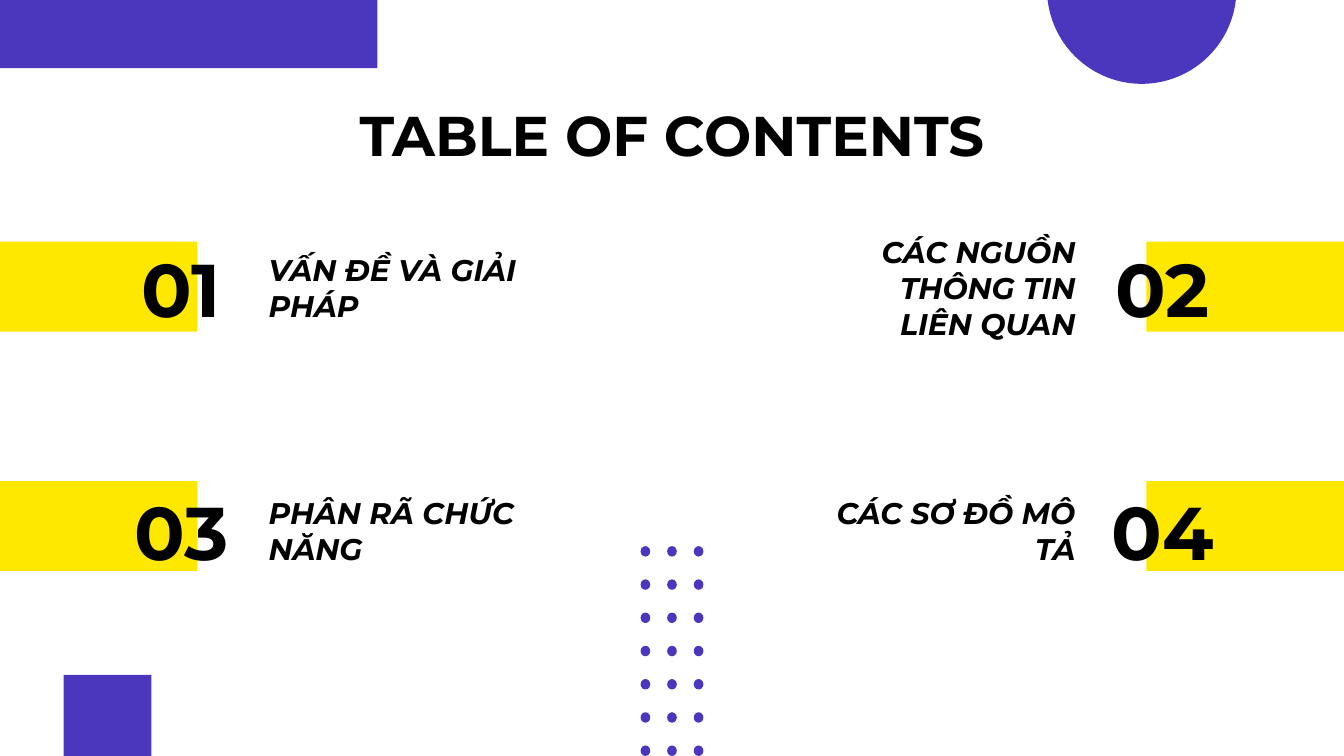
from pptx import Presentation
from pptx.dml.color import RGBColor
from pptx.enum.shapes import MSO_SHAPE
from pptx.enum.text import MSO_ANCHOR, PP_ALIGN
from pptx.util import Pt

RECT, OVAL = MSO_SHAPE.RECTANGLE, MSO_SHAPE.OVAL
LEFT, CENTER, RIGHT = PP_ALIGN.LEFT, PP_ALIGN.CENTER, PP_ALIGN.RIGHT
MIDDLE = MSO_ANCHOR.MIDDLE
COLORS = {"yellow": "FFE800", "purple": "4B37BE", "black": "000000"}
FONT = "Montserrat"

prs = Presentation()
prs.slide_width, prs.slide_height = Pt(720), Pt(405)
slide = prs.slides.add_slide(prs.slide_layouts[6])


def add_block(kind, left, top, width, height, color):
    block = slide.shapes.add_shape(kind, Pt(left), Pt(top), Pt(width), Pt(height))
    block.shadow.inherit = False
    block.fill.solid()
    block.fill.fore_color.rgb = RGBColor.from_string(COLORS[color])
    block.line.fill.background()


def add_label(text, left, top, width, height, size, align, italic=False):
    frame = slide.shapes.add_textbox(Pt(left), Pt(top), Pt(width), Pt(height)).text_frame
    frame.word_wrap = True
    frame.vertical_anchor = MIDDLE
    frame.margin_left = frame.margin_right = Pt(7.2)
    frame.margin_top = frame.margin_bottom = Pt(7.2)
    frame.text = text
    paragraph = frame.paragraphs[0]
    paragraph.alignment = align
    font = paragraph.runs[0].font
    font.name, font.size = FONT, Pt(size)
    font.bold, font.italic = True, italic
    font.color.rgb = RGBColor.from_string(COLORS["black"])


for band_top in (257.75, 129.5):
    for band_left in (614.2, 0):
        add_block(RECT, band_left, band_top, 105.8, 48.2, "yellow")

add_label("TABLE OF CONTENTS", 57.6, 44.64, 604.8, 54, 30, CENTER)

chapters = [
    ("01", "VẤN ĐỀ VÀ GIẢI PHÁP"),
    ("02", "CÁC NGUỒN THÔNG TIN LIÊN QUAN"),
    ("03", "PHÂN RÃ CHỨC NĂNG"),
    ("04", "CÁC SƠ ĐỒ MÔ TẢ"),
]
columns = [(57.6, 136.8, LEFT), (583.2, 435.6, RIGHT)]
row_tops = [132.5, 262.8]

for index, (number, heading) in enumerate(chapters):
    row, column = divmod(index, 2)
    number_left, heading_left, align = columns[column]
    add_label(number, number_left, row_tops[row], 79.2, 43.2, 40, CENTER)
    add_label(heading, heading_left, row_tops[row], 147.6, 43.2, 16, align, True)

add_block(RECT, 34.1, 361.6, 47, 43.4, "purple")

dot_width, dot_height = 5.2, 5.6
for column in range(3):
    for row in range(7):
        center_x = 360 + (column - 1) * 14.25
        center_y = 295.4 + row * 17.8
        add_block(OVAL, center_x - dot_width / 2, center_y - dot_height / 2,
                  dot_width, dot_height, "purple")

add_block(OVAL, 560.9, -56.6, 101.5, 101.5, "purple")
add_block(RECT, 0, 0, 202.2, 36.5, "purple")

prs.save("out.pptx")
